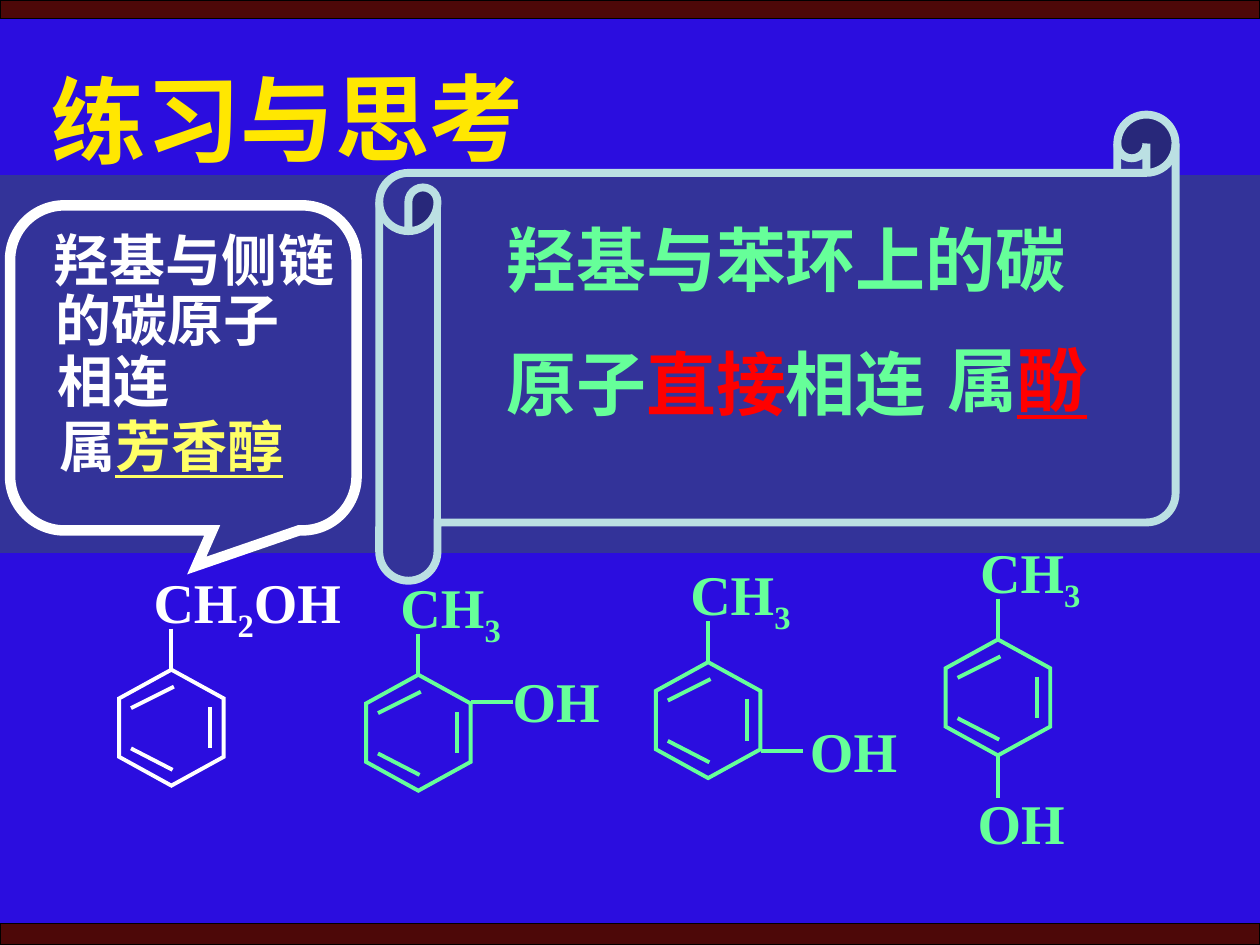
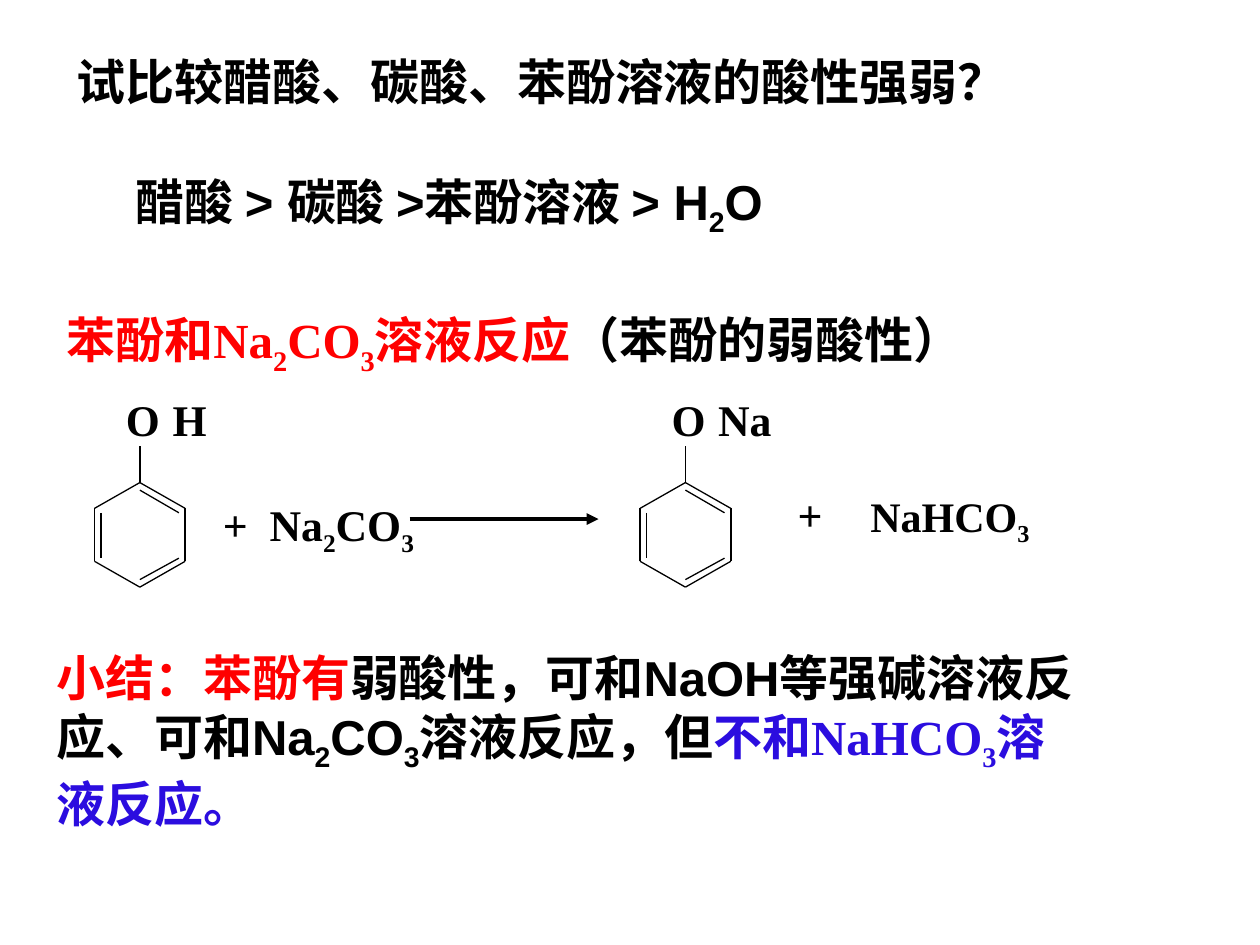
"""Build two chemistry slides on aromatic alcohols and phenols."""
from lxml import etree
from pptx import Presentation
from pptx.dml.color import RGBColor
from pptx.enum.shapes import MSO_CONNECTOR, MSO_SHAPE
from pptx.enum.text import MSO_ANCHOR, MSO_AUTO_SIZE, PP_ALIGN
from pptx.oxml.ns import qn
from pptx.util import Inches, Pt

RECT = MSO_SHAPE.RECTANGLE
HEXAGON = MSO_SHAPE.HEXAGON
BUBBLE = MSO_SHAPE.ROUNDED_RECTANGULAR_CALLOUT
SCROLL = MSO_SHAPE.HORIZONTAL_SCROLL
STRAIGHT = MSO_CONNECTOR.STRAIGHT
TOP = MSO_ANCHOR.TOP
LEFT = PP_ALIGN.LEFT
FIXED = MSO_AUTO_SIZE.NONE

BLUE = RGBColor(0x2B, 0x0D, 0xDF)
NAVY = RGBColor(0x33, 0x33, 0x99)
MAROON = RGBColor(0x4D, 0x08, 0x08)
GOLD = RGBColor(0xFF, 0xE7, 0x01)
LEMON = RGBColor(0xFF, 0xFF, 0x66)
MINT = RGBColor(0x66, 0xFF, 0x99)
PALE = RGBColor(0xBB, 0xE0, 0xE3)
RED = RGBColor(0xFF, 0x00, 0x00)
BLACK = RGBColor(0x00, 0x00, 0x00)
WHITE = RGBColor(0xFF, 0xFF, 0xFF)

HAN = "Noto Sans CJK SC"
SERIF = "Times New Roman"
SANS = "Arial"
COLS, ROWS = 100, 75
TITLE_ONLY = 5


def add_run(para, text, size=32, font=SERIF, color=BLACK, under=False, sub=False):
    """Add one bold run in the given format."""
    run = para.add_run()
    run.text = text
    run.font.size = Pt(size)
    run.font.bold = True
    run.font.name = font
    run.font.color.rgb = color
    if under:
        run.font.underline = True
    props = run._r.get_or_add_rPr()
    if sub:
        props.set("baseline", "-25000")
    face = etree.Element(qn("a:ea"), typeface=HAN)
    props.find(qn("a:latin")).addnext(face)


def write(frame, parts, wrap=True, inset=True, **form):
    """Fill a frame with (text, format) parts; "_" lowers the next sign."""
    frame.word_wrap = wrap
    frame.auto_size = FIXED
    frame.vertical_anchor = TOP
    side, edge = (Inches(0.1), Inches(0.05)) if inset else (0, 0)
    frame.margin_left = frame.margin_right = side
    frame.margin_top = frame.margin_bottom = edge
    para = frame.paragraphs[0]
    para.alignment = LEFT
    if isinstance(parts, str):
        parts = [(parts, {})]
    for text, own in parts:
        look = {**form, **own}
        head, *tails = text.split("_")
        if head:
            add_run(para, head, **look)
        for tail in tails:
            add_run(para, tail[0], sub=True, **look)
            if tail[1:]:
                add_run(para, tail[1:], **look)


class Deck:
    """Hold the grid, the style and the current slide."""

    def __init__(self):
        """Start an empty deck."""
        self.prs = Presentation()
        self.prs.slide_width = Inches(10)
        self.prs.slide_height = Inches(7.5)
        self.slide = None

    def grid(self, x, y):
        """Turn columns and rows into lengths."""
        return (round(x * self.prs.slide_width / COLS),
                round(y * self.prs.slide_height / ROWS))

    def page(self, back):
        """Start a slide with a plain ground."""
        layout = self.prs.slide_layouts[TITLE_ONLY]
        self.slide = self.prs.slides.add_slide(layout)
        fill = self.slide.background.fill
        fill.solid()
        fill.fore_color.rgb = back

    def title(self, x, y, w, h, text, turn=0, **form):
        """Place and fill the title."""
        box = self.slide.shapes.title
        box.left, box.top = self.grid(x, y)
        box.width, box.height = self.grid(w, h)
        box.rotation = turn
        write(box.text_frame, text, **form)

    def text(self, x, y, w, h, parts, **form):
        """Add a text box."""
        box = self.slide.shapes.add_textbox(*self.grid(x, y), *self.grid(w, h))
        write(box.text_frame, parts, **form)

    def shape(self, kind, x, y, w, h, fill, line, width=0.75, adjust=(), turn=0):
        """Add a preset shape with sharp corners."""
        item = self.slide.shapes.add_shape(kind, *self.grid(x, y), *self.grid(w, h))
        item.shadow.inherit = False
        item.rotation = turn
        for spot, value in enumerate(adjust):
            item.adjustments[spot] = value
        if fill is None:
            item.fill.background()
        else:
            item.fill.solid()
            item.fill.fore_color.rgb = fill
        item.line.color.rgb = line
        item.line.width = Pt(width)
        edge = item._element.spPr.find(qn("a:ln"))
        etree.SubElement(edge, qn("a:miter"), lim="800000")

    def line(self, start, end, color=BLACK, width=2.25, arrow=False):
        """Add a straight line, with an arrowhead if asked."""
        item = self.slide.shapes.add_connector(
            STRAIGHT, *self.grid(*start), *self.grid(*end))
        item.line.color.rgb = color
        item.line.width = Pt(width)
        props = item._element.spPr
        etree.SubElement(props, qn("a:effectLst"))
        if arrow:
            etree.SubElement(props.find(qn("a:ln")), qn("a:tailEnd"), type="triangle")

    def bonds(self, x, y, pairs, **look):
        """Draw lines given as offsets from a ring centre."""
        for (ax, ay), (bx, by) in pairs:
            self.line((x + ax, y + ay), (x + bx, y + by), **look)

    def ring(self, x, y, color, group, bond=None, spot=None):
        """Draw a benzene ring with a top group and maybe a hydroxyl."""
        self.shape(HEXAGON, x - 4.6, y - 4.15, 9.2, 8.3, None, color, 2.25, (0.275,), 90)
        pairs = [((-3.2, -1.55), (0.2, -3.25)), ((0.1, 3.35), (-3.2, 1.65)),
                 ((3.1, -1.65), (3.1, 1.65)), ((0, -7.85), (0, -4.55))]
        if bond:
            pairs.append(bond)
            self.text(x + spot[0], y + spot[1], 8.9, 6.4, "OH", color=color, wrap=False)
        self.bonds(x, y, pairs, color=color)
        wide = 16.9 if group.endswith("OH") else 9.9
        self.text(x - 2.4, y - 13.2, wide, 7.1, group, color=color, wrap=False)

    def phenyl(self, x, y, end, wide):
        """Draw a thin ring whose oxygen carries the given end."""
        rim = [(0, -4.15), (3.6, -2.1), (3.6, 2.1), (0, 4.15), (-3.6, 2.1), (-3.6, -2.1)]
        pairs = list(zip(rim, rim[1:] + rim[:1]))
        pairs += [((-3.1, -1.75), (-3.1, 1.85)), ((0, 3.55), (3.1, 1.85)),
                  ((3.1, -1.75), (0, -3.55)), ((0, -4.15), (0, -7.05))]
        for pair in pairs:
            width = 1 if pair[0][0] == pair[1][0] else 0.75
            self.bonds(x, y, [pair], width=width)
        for shift, sign, w in ((-1.1, "O", 2.7), (2.6, end, wide)):
            self.text(x + shift, y - 11.25, w, 4.2, sign, size=25, wrap=False, inset=False)


def practice(deck):
    """Build the slide that sorts alcohols from phenols."""
    deck.page(BLUE)
    for y, h in ((73.3, 1.7), (0, 1.5)):
        deck.shape(RECT, 0, y, COLS, h, MAROON, BLACK)
    deck.title(3.1, 4.3, 45, 11.5, "练习与思考", turn=359.5,
               size=54, font=HAN, color=GOLD)
    deck.ring(13.6, 57.75, WHITE, "CH_2OH")
    phenols = [
        (33.2, 58.15, ((4.2, -2.45), (7.5, -2.45)), (6.5, -5.75)),
        (56.2, 57.15, ((4.2, 2.45), (7.5, 2.45)), (7.1, -0.75)),
        (79.2, 55.35, ((0, 4.65), (0, 7.95)), (-2.6, 6.75)),
    ]
    for x, y, bond, spot in phenols:
        deck.ring(x, y, MINT, "CH_3", bond, spot)
    deck.shape(RECT, 0, 13.9, COLS, 29.9, NAVY, NAVY)
    deck.shape(BUBBLE, 0.8, 16.3, 27.5, 25.8, NAVY, WHITE, 6, (0.039, 0.608, 0.167))
    notes = [
        (3.3, 17.4, 24.2, "羟基与侧链"),
        (3.4, 22.2, 21.5, "的碳原子"),
        (3.6, 27, 10.9, "相连"),
        (3.7, 32.2, 19.8, [("属", {}), ("芳香醇", {"color": LEMON, "under": True})]),
    ]
    for x, y, w, parts in notes:
        deck.text(x, y, w, 6.4, parts, color=WHITE, wrap=False)
    deck.shape(SCROLL, 30.1, 9.1, 63.2, 37, NAVY, PALE, 4.5, (0.125,))
    rules = [
        (39.2, 16.7, 47.3, "羟基与苯环上的碳"),
        (39.2, 26.5, 41.3, [("原子", {}), ("直接", {"color": RED}), ("相连", {})]),
        (74.2, 26.2, 15.3, [("属", {}), ("酚", {"color": RED, "under": True})]),
    ]
    for x, y, w, parts in rules:
        deck.text(x, y, w, 7.7, parts, size=40, color=MINT)


def acids(deck):
    """Build the slide that compares acid strength."""
    deck.page(WHITE)
    deck.title(5.1, 3.6, 89.8, 5.7, "试比较醋酸、碳酸、苯酚溶液的酸性强弱？", size=28, font=SANS)
    deck.text(9.8, 13.1, 63.8, 6.3, "醋酸 > 碳酸 >苯酚溶液 > H_2O", size=28, font=SANS)
    deck.text(4.3, 24.1, 80.3, 6.3, [
        ("苯酚和", {"color": RED, "font": SANS}),
        ("Na_2CO_3溶液反应", {"color": RED}),
        ("（苯酚的弱", {}),
        ("酸性）", {"font": SANS}),
    ], size=28)
    deck.phenyl(11.1, 42.45, "H", 2.7)
    deck.phenyl(54.4, 42.45, "Na", 4.2)
    signs = [(17.7, 39.5, 2, "+"), (21.4, 39.5, 11.5, "Na_2CO_3"), (63.3, 38.7, 2, "+")]
    for x, y, w, sign in signs:
        deck.text(x, y, w, 4.7, sign, size=25, wrap=False, inset=False)
    deck.line((32.5, 41.2), (47.5, 41.2), arrow=True)
    deck.text(68.1, 38.4, 17.3, 5.6, "NaHCO_3", size=24)
    deck.text(3.5, 50.9, 84.3, 15.7, [
        ("小结：苯酚有", {"color": RED}),
        ("弱", {}),
        ("酸性，可和NaOH等强碱溶液反应、可和Na_2CO_3溶液反应，但", {"font": SANS}),
        ("不和NaHCO_3溶液反应。", {"color": BLUE}),
    ], size=28)


def main():
    """Build and save the deck."""
    deck = Deck()
    practice(deck)
    acids(deck)
    deck.prs.save("out.pptx")


if __name__ == "__main__":
    main()
